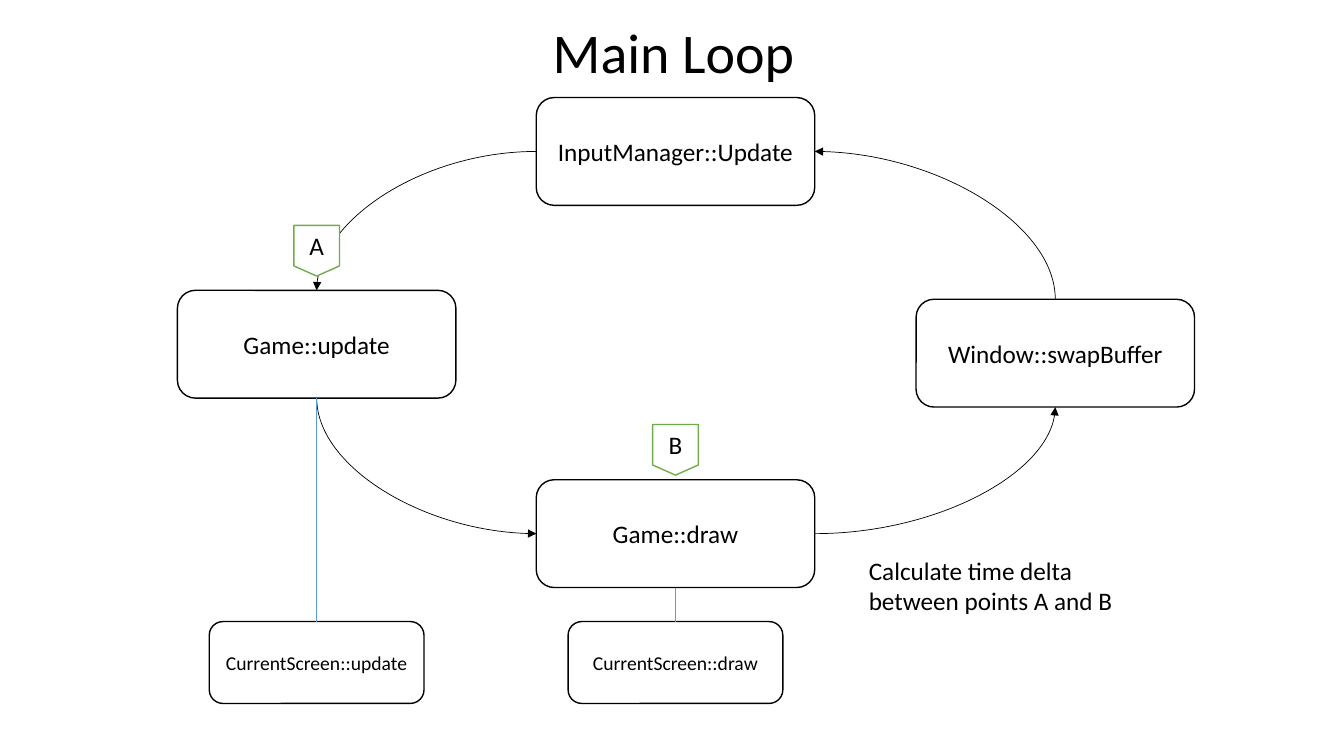
from lxml import etree
from pptx import Presentation
from pptx.dml.color import RGBColor
from pptx.enum import shapes, text
from pptx.oxml import ns
from pptx.util import Pt

BLACK = RGBColor(0, 0, 0)
WHITE = RGBColor(255, 255, 255)
BLUE = RGBColor(0x5B, 0x9B, 0xD5)
GREEN = RGBColor(0x70, 0xAD, 0x47)

FONT = "Calibri"
LEFT, MID, RIGHT = 226.2, 482.5, 753.8
STEP = (198.9, 77)
SCREEN = (153.4, 58.5)
MARK = (32.6, 36.2)
TOP, WEST, BOTTOM, EAST = range(4)


def style(frame, size, align):
    frame.word_wrap = True
    for para in frame.paragraphs:
        para.alignment = align
        for run in para.runs:
            run.font.name = FONT
            run.font.size = Pt(size)
            run.font.color.rgb = BLACK


def add_title(slide, words):
    title = slide.shapes.title
    title.left, title.top = Pt(67), Pt(10)
    title.width, title.height = Pt(828), Pt(59)
    frame = title.text_frame
    frame.text = words
    frame.vertical_anchor = text.MSO_ANCHOR.MIDDLE
    frame.paragraphs[0].line_spacing = 0.9
    style(frame, 40, text.PP_ALIGN.CENTER)


def add_node(slide, kind, words, mid, top, area, size=18, edge=BLACK):
    wide, high = area
    node = slide.shapes.add_shape(
        kind, Pt(mid - wide / 2), Pt(top), Pt(wide), Pt(high))
    node.shadow.inherit = False
    node.fill.solid()
    node.fill.fore_color.rgb = WHITE
    node.line.color.rgb = edge
    node.line.width = Pt(1)
    frame = node.text_frame
    frame.text = words
    frame.vertical_anchor = text.MSO_ANCHOR.MIDDLE
    style(frame, size, text.PP_ALIGN.CENTER)
    return node


def add_box(slide, *args, **kwargs):
    return add_node(
        slide, shapes.MSO_SHAPE.ROUNDED_RECTANGLE, *args, **kwargs)


def add_mark(slide, words, mid, top):
    add_node(slide, shapes.MSO_SHAPE.FLOWCHART_OFFPAGE_CONNECTOR,
             words, mid, top, MARK, edge=GREEN)


def add_link(slide, kind, start, exit, goal, entry, color):
    link = slide.shapes.add_connector(kind, 0, 0, 0, 0)
    link.begin_connect(start, exit)
    link.end_connect(goal, entry)
    link.line.color.rgb = color
    link.line.width = Pt(0.5)
    etree.SubElement(link._element.spPr, ns.qn("a:effectLst"))
    return link


def turn(link):
    mid_x = (link.begin_x + link.end_x) // 2
    mid_y = (link.begin_y + link.end_y) // 2
    half_x = (link.begin_y - link.end_y) // 2
    half_y = (link.end_x - link.begin_x) // 2
    link.begin_x, link.begin_y = mid_x - half_x, mid_y - half_y
    link.end_x, link.end_y = mid_x + half_x, mid_y + half_y
    link.rotation = 270


def add_curve(slide, start, exit, goal, entry):
    link = add_link(slide, shapes.MSO_CONNECTOR.CURVE,
                    start, exit, goal, entry, BLACK)
    props = link._element.spPr
    props.find(ns.qn("a:prstGeom")).set("prst", "curvedConnector2")
    tail = etree.SubElement(props.find(ns.qn("a:ln")), ns.qn("a:tailEnd"))
    tail.set("type", "triangle")
    if exit in (TOP, BOTTOM):
        turn(link)


def add_note(slide, words):
    note = slide.shapes.add_textbox(Pt(613.5), Pt(393), Pt(202), Pt(50.5))
    note.text_frame.text = words
    style(note.text_frame, 18, text.PP_ALIGN.LEFT)


def main():
    deck = Presentation()
    deck.slide_width, deck.slide_height = Pt(960), Pt(540)
    slide = deck.slides.add_slide(deck.slide_layouts[5])
    add_title(slide, "Main Loop")

    input_ = add_box(slide, "InputManager::Update", MID, 69.7, STEP)
    update = add_box(slide, "Game::update", LEFT, 207.4, STEP)
    draw = add_box(slide, "Game::draw", MID, 342.7, STEP)
    swap = add_box(slide, "Window::swapBuffer", RIGHT, 213.8, STEP)
    below = [
        (update, add_box(slide, "CurrentScreen::update",
                         LEFT, 444, SCREEN, size=14)),
        (draw, add_box(slide, "CurrentScreen::draw",
                       MID, 444, SCREEN, size=14)),
    ]

    add_curve(slide, input_, WEST, update, TOP)
    add_curve(slide, update, BOTTOM, draw, WEST)
    add_curve(slide, draw, EAST, swap, BOTTOM)
    add_curve(slide, swap, TOP, input_, EAST)
    for step, screen in below:
        add_link(slide, shapes.MSO_CONNECTOR.STRAIGHT,
                 step, BOTTOM, screen, TOP, BLUE)

    add_mark(slide, "A", LEFT, 161)
    add_mark(slide, "B", MID, 303.2)
    add_note(slide, "Calculate time delta between points A and B")
    deck.save("out.pptx")


main()
